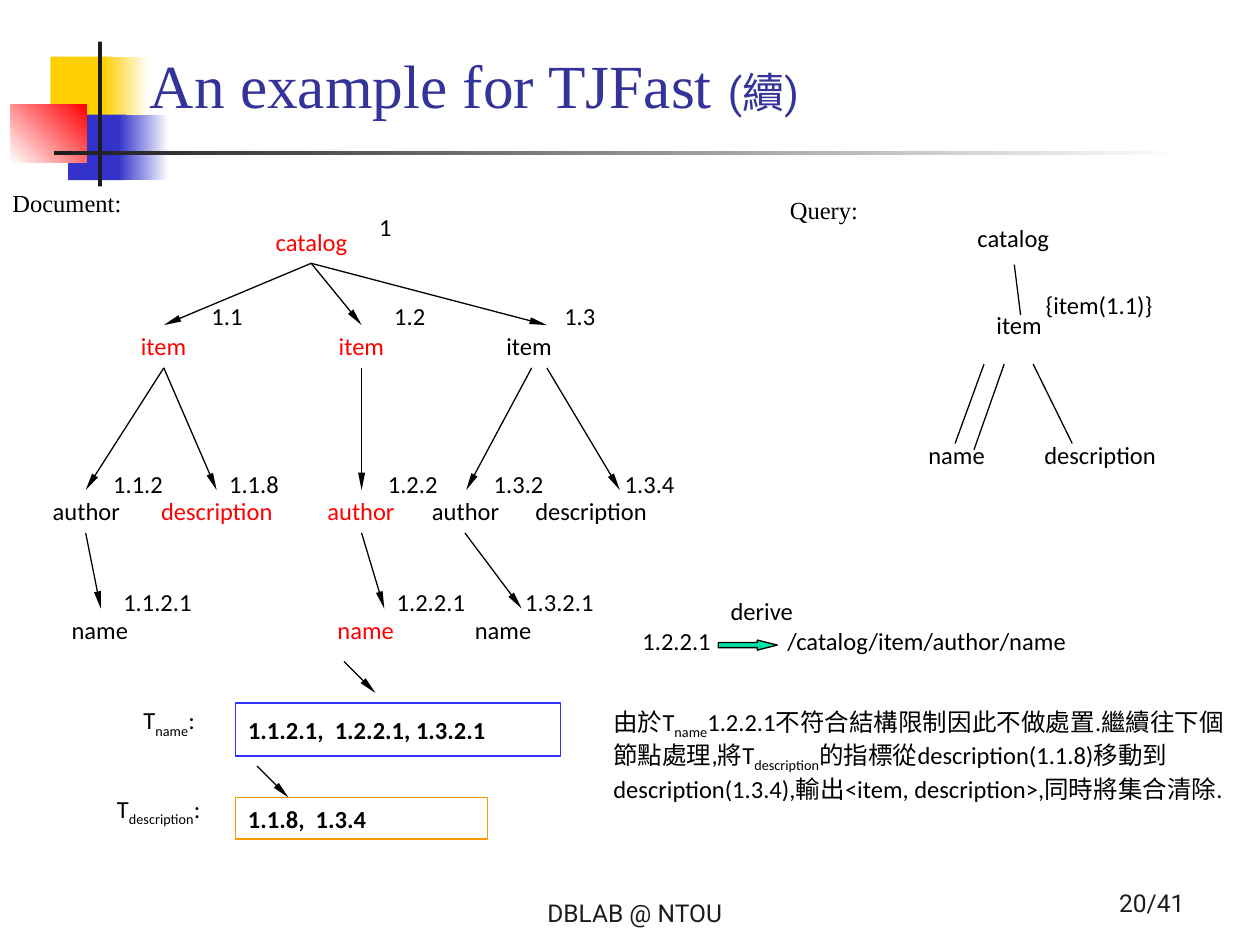
from lxml import etree
from pptx import Presentation
from pptx.dml.color import RGBColor
from pptx.enum.shapes import MSO_CONNECTOR as Connector, MSO_SHAPE as Shape
from pptx.enum.text import MSO_ANCHOR as Anchor, MSO_AUTO_SIZE as AutoSize, PP_ALIGN as Align
from pptx.oxml.ns import qn
from pptx.util import Inches, Pt

BLACK, RED, DARK, WHITE = "000000", "FF0000", "1C1C1C", "FFFFFF"
YELLOW, BLUE = "FFCF01", "3333CC"
LINE_HEIGHT = 0.34
NODE_WIDTHS = {"catalog": 0.8, "item": 0.6, "author": 0.78, "description": 1.14, "name": 0.7}


def paint(color_format, hex_color):
    color_format.rgb = RGBColor.from_string(hex_color)


def style(run, size=14, font="Calibri", color=BLACK, bold=False):
    run.font.size = Pt(size)
    run.font.name = font
    run.font.bold = bold
    paint(run.font.color, color)


def add_label(slide, text, left, top, width, height=LINE_HEIGHT, wrap=True, **look):
    label = slide.shapes.add_textbox(Inches(left), Inches(top), Inches(width), Inches(height))
    frame = label.text_frame
    frame.word_wrap = wrap
    frame.auto_size = AutoSize.SHAPE_TO_FIT_TEXT
    frame.text = text
    for run in frame.paragraphs[0].runs:
        style(run, **look)
    return label


def add_subscripted(slide, pieces, left, top, width, height, wrap=True):
    label = add_label(slide, "", left, top, width, height, wrap)
    for position, piece in enumerate(pieces):
        run = label.text_frame.paragraphs[0].add_run()
        run.text = piece
        style(run)
        if position % 2:
            run.font._element.set("baseline", "-25000")


def add_node(slide, word, left, top, color=BLACK):
    add_label(slide, word, left, top, NODE_WIDTHS[word], color=color)


def add_edge(slide, x1, y1, x2, y2, arrow=True):
    edge = slide.shapes.add_connector(
        Connector.STRAIGHT, Inches(x1), Inches(y1), Inches(x2), Inches(y2))
    edge.line.width = Pt(0.75)
    paint(edge.line.color, BLACK)
    if arrow:
        etree.SubElement(edge.line._get_or_add_ln(), qn("a:tailEnd"),
                         type="triangle", w="sm", len="lg")
    etree.SubElement(edge._element.spPr, qn("a:effectLst"))


def add_block(slide, kind, left, top, width, height, fill, outline=None):
    block = slide.shapes.add_shape(
        kind, Inches(left), Inches(top), Inches(width), Inches(height))
    block.shadow.inherit = False
    block.fill.solid()
    paint(block.fill.fore_color, fill)
    if outline:
        block.line.width = Pt(0.75)
        paint(block.line.color, outline)
    else:
        block.line.fill.background()
    return block


def add_fade(slide, left, top, width, height, start, end, angle=0):
    fade = add_block(slide, Shape.RECTANGLE, left, top, width, height, start)
    fade.fill.gradient()
    fade.fill.gradient_angle = angle
    for stop, color in zip(fade.fill.gradient_stops, (start, end)):
        paint(stop.color, color)


def add_ornament(slide, left, top):
    add_block(slide, Shape.RECTANGLE, left + 0.32, top + 0.12, 0.48, 0.52, YELLOW)
    add_fade(slide, left + 0.74, top + 0.12, 0.36, 0.52, YELLOW, WHITE)
    add_block(slide, Shape.RECTANGLE, left + 0.46, top + 0.58, 0.46, 0.52, BLUE)
    add_fade(slide, left + 0.86, top + 0.58, 0.4, 0.52, BLUE, WHITE)
    add_fade(slide, left, top + 0.5, 0.61, 0.46, WHITE, RED, angle=45)
    add_block(slide, Shape.RECTANGLE, left + 0.7, top, 0.03, 1.15, DARK)
    add_fade(slide, left + 0.35, top + 0.87, 9, 0.03, DARK, WHITE)


def add_title(slide, left, top, width, height):
    title = slide.shapes.title
    title.left, title.top = Inches(left), Inches(top)
    title.width, title.height = Inches(width), Inches(height)
    frame = title.text_frame
    frame.auto_size = AutoSize.NONE
    frame.vertical_anchor = Anchor.BOTTOM
    heading = frame.paragraphs[0]
    heading.alignment = Align.LEFT
    for text, size, font in (("An example for TJFast ", 35, "Times New Roman"),
                             ("(續)", 24, "Roboto")):
        run = heading.add_run()
        run.text = text
        style(run, size, font, "333399")


def add_document_tree(slide, left, top):
    add_label(slide, "Document:", left, top, 1.83, font="Times New Roman")
    levels = [
        (0.31, 0.19, [("catalog", 2.09, RED, "1", 2.91)]),
        (1.14, 0.9, [("item", 1.02, RED, "1.1", 1.58),
                     ("item", 2.59, RED, "1.2", 3.03),
                     ("item", 3.92, BLACK, "1.3", 4.38)]),
        (2.45, 2.23, [("author", 0.32, BLACK, "1.1.2", 0.8),
                      ("description", 1.18, RED, "1.1.8", 1.72),
                      ("author", 2.5, RED, "1.2.2", 2.98),
                      ("author", 3.33, BLACK, "1.3.2", 3.82),
                      ("description", 4.15, BLACK, "1.3.4", 4.86)]),
        (3.39, 3.17, [("name", 0.47, BLACK, "1.1.2.1", 0.88),
                      ("name", 2.58, RED, "1.2.2.1", 3.05),
                      ("name", 3.67, BLACK, "1.3.2.1", 4.07)]),
    ]
    for node_top, code_top, nodes in levels:
        for word, node_left, color, code, code_left in nodes:
            add_node(slide, word, left + node_left, top + node_top, color)
            add_label(slide, code, left + code_left, top + code_top, 0.92)

    edges_by_level = [
        [(2.47, 1.3), (2.47, 2.87), (2.47, 4.34)],
        [(1.3, 0.68), (1.3, 1.72), (2.87, 2.87), (4.22, 3.7), (4.34, 4.92)],
        [(0.68, 0.8), (2.87, 3.05), (3.69, 4.14)],
    ]
    for parents, children, edges in zip(levels, levels[1:], edges_by_level):
        for start, end in edges:
            add_edge(slide, left + start, top + parents[0] + LINE_HEIGHT,
                     left + end, top + children[0])


def add_query_tree(slide, left, top):
    add_label(slide, "Query:", left, top, 1.25, font="Times New Roman")
    for word, x, y in (("catalog", 1.49, 0.22), ("item", 1.64, 0.91),
                       ("name", 1.1, 1.94), ("description", 2.02, 1.94)):
        add_node(slide, word, left + x, top + y)
    add_label(slide, "{item(1.1)}", left + 2.03, top + 0.75, 1.41)
    for x1, y1, x2, y2 in ((1.88, 0.6, 1.93, 1), (1.64, 1.39, 1.41, 2.02),
                           (1.8, 1.39, 1.56, 2.07), (2.03, 1.39, 2.34, 2.02)):
        add_edge(slide, left + x1, top + y1, left + x2, top + y2, arrow=False)


def add_stream(slide, left, top, tag, tag_left, tag_width, codes, width, height, outline, pointer):
    add_subscripted(slide, ("T", tag, ":"), tag_left, top + height / 2 - 0.24,
                    tag_width, 0.37, wrap=False)
    stream = add_block(slide, Shape.RECTANGLE, left, top, width, height, WHITE, outline)
    frame = stream.text_frame
    frame.word_wrap = False
    frame.vertical_anchor = Anchor.MIDDLE
    frame.text = codes
    frame.paragraphs[0].alignment = Align.LEFT
    style(frame.paragraphs[0].runs[0], bold=True)
    pointer_x, pointer_y = left + pointer[0], top + pointer[1]
    add_edge(slide, pointer_x, pointer_y, pointer_x + 0.25, pointer_y + 0.25)


def add_derivation(slide, left, top):
    add_label(slide, "derive", left + 0.7, top, 1)
    add_label(slide, "1.2.2.1", left, top + 0.24, 0.92)
    add_label(slide, "/catalog/item/author/name", left + 1.15, top + 0.24, 3)
    arrow = add_block(slide, Shape.RIGHT_ARROW, left + 0.7, top + 0.4, 0.47, 0.08,
                      "00E4A8", BLACK)
    arrow.adjustments[0], arrow.adjustments[1] = 0.5, 1.995


def add_footer(slide, text, left, top, width, height):
    footer = add_label(slide, text, left, top, width, height, font="Roboto", color=DARK)
    footer.text_frame.auto_size = AutoSize.NONE
    footer.text_frame.vertical_anchor = Anchor.BOTTOM
    footer.text_frame.paragraphs[0].alignment = Align.RIGHT


def main():
    deck = Presentation()
    deck.slide_width, deck.slide_height = Inches(10), Inches(7.5)
    slide = deck.slides.add_slide(deck.slide_layouts[5])
    add_ornament(slide, 0.08, 0.33)
    add_title(slide, 1.09, 0.31, 8.38, 0.7)
    add_document_tree(slide, 0, 1.44)
    add_query_tree(slide, 6.17, 1.5)
    add_stream(slide, 1.87, 5.58, "name", 1.04, 0.61, "1.1.2.1,  1.2.2.1, 1.3.2.1",
               2.58, 0.42, "3333FF", (0.86, -0.33))
    add_stream(slide, 1.87, 6.33, "description", 0.83, 0.86, "1.1.8,  1.3.4",
               2, 0.33, "FF9900", (0.17, -0.25))
    add_derivation(slide, 5, 4.68)
    add_subscripted(slide, (
        "由於T", "name", "1.2.2.1不符合結構限制因此不做處置.繼續往下個節點處理,將T", "description",
        "的指標從description(1.1.8)移動到description(1.3.4),輸出<item, description>,同時將集合清除."),
        4.77, 5.56, 5.1, 1.46)
    add_footer(slide, "DBLAB @ NTOU", 2.66, 6.91, 3.17, 0.5)
    add_footer(slide, "20/41", 7.17, 6.83, 2.33, 0.5)
    deck.save("out.pptx")


if __name__ == "__main__":
    main()
